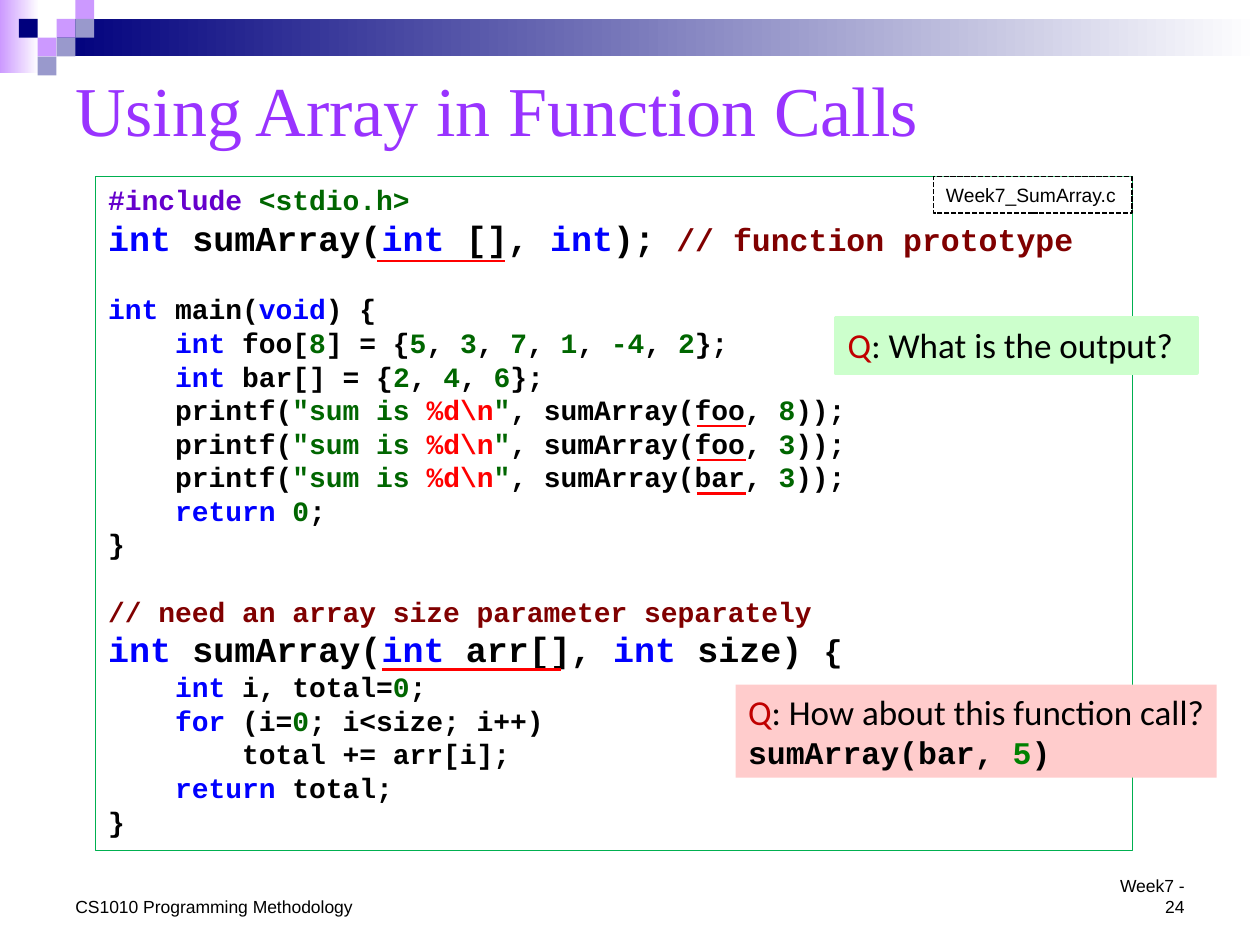
from dataclasses import dataclass
from functools import partial
from typing import Optional

from lxml import etree
from pptx import Presentation
from pptx import util as u
from pptx.dml.color import RGBColor
from pptx.enum import dml, shapes, text
from pptx.oxml.ns import qn


@dataclass(frozen=True)
class Theme:
    title: str = "9933FF"
    navy: str = "00007D"
    violet: str = "CC99FF"
    slate: str = "9999CC"
    white: str = "FFFFFF"
    black: str = "000000"
    border: str = "00B050"
    directive: str = "6600CC"
    keyword: str = "0000FF"
    literal: str = "006600"
    escape: str = "FF0000"
    comment: str = "800000"
    underline: str = "FF0000"
    question: str = "C00000"
    answer: str = "008000"
    green_note: str = "CCFFCC"
    pink_note: str = "FFCCCC"
    serif: str = "Times New Roman"
    sans: str = "Arial"
    note_font: str = "Calibri"
    mono: str = "Courier New"
    title_size: int = 40
    large: int = 20
    medium: int = 18
    code: int = 16
    label: int = 11
    footer: int = 10
    blank_line: float = 19.2


THEME = Theme()


@dataclass(frozen=True)
class Box:
    """Position and size in centimetres."""
    left: float
    top: float
    width: float
    height: float

    def lengths(self) -> list:
        return [u.Cm(v) for v in (self.left, self.top, self.width, self.height)]


@dataclass(frozen=True)
class Run:
    text: str
    color: str = THEME.black
    size: int = THEME.code
    font: str = THEME.mono
    bold: bool = True


@dataclass(frozen=True)
class Line:
    runs: list
    gap_before: float = 0
    align: text.PP_ALIGN = text.PP_ALIGN.LEFT


@dataclass(frozen=True)
class Underline:
    left: float
    right: float
    y: float


kw = partial(Run, color=THEME.keyword)
lit = partial(Run, color=THEME.literal)
esc = partial(Run, color=THEME.escape)
note = partial(Run, color=THEME.comment)
big = partial(Run, size=THEME.large)
big_kw = partial(kw, size=THEME.large)
small = partial(Run, size=THEME.footer, font=THEME.sans, bold=False)
calibri = partial(Run, size=THEME.large, font=THEME.note_font, bold=False)
INDENT = Run("    ")


def array_line(declaration: str, values: list, length: str = "") -> Line:
    runs = [INDENT, kw("int"), Run(f" {declaration}[")]
    if length:
        runs.append(lit(length))
    runs.append(Run("] = {"))
    for index, value in enumerate(values):
        if index:
            runs.append(Run(", "))
        runs.append(lit(value))
    return Line(runs + [Run("};")])


def print_line(array: str, count: str) -> Line:
    return Line([Run("    printf("), lit('"sum is '), esc("%d\\n"), lit('"'),
                 Run(f", sumArray({array}, "), lit(count), Run("));")])


def question_line(question: str) -> Line:
    return Line([calibri("Q", color=THEME.question), calibri(f": {question}")])


CODE = [
    Line([Run("#include ", THEME.directive), lit("<stdio.h>")]),
    Line([big_kw("int "), big("sumArray("), big_kw("int"), big(" [], "), big_kw("int"),
          big("); "), note("// function prototype", size=THEME.medium)]),
    Line([kw("int"), Run(" main("), kw("void"), Run(") {")], THEME.blank_line),
    array_line("foo", ["5", "3", "7", "1", "-4", "2"], "8"),
    array_line("bar", ["2", "4", "6"]),
    print_line("foo", "8"),
    print_line("foo", "3"),
    print_line("bar", "3"),
    Line([INDENT, kw("return "), lit("0"), Run(";")]),
    Line([Run("}")]),
    Line([note("// need an array size parameter separately")], THEME.blank_line),
    Line([big_kw("int "), big("sumArray("), big_kw("int "), big("arr[], "),
          big_kw("int"), big(" size) "), Run("{", size=THEME.medium)]),
    Line([INDENT, kw("int "), Run("i, total="), lit("0"), Run(";")]),
    Line([INDENT, kw("for"), Run(" (i="), lit("0"), Run("; i<size; i++)")]),
    Line([Run("        total += arr[i];")]),
    Line([INDENT, kw("return"), Run(" total;")]),
    Line([Run("}")]),
]

SQUARE = 0.38
SQUARES = [  # column, row, colour
    (3, 1, THEME.violet), (4, 0, THEME.violet), (4, 1, THEME.slate),
    (2, 2, THEME.violet), (1, 1, THEME.navy), (3, 2, THEME.slate), (2, 3, THEME.slate),
]

UNDERLINES = [Underline(7.6, 10.19, 5.26), Underline(7.7, 11.3, 13.49)]
UNDERLINES += [Underline(14.05, 15.04, 8.59 + 0.68 * row) for row in range(3)]


def rgb(color: str) -> RGBColor:
    return RGBColor.from_string(color)


def write(shape, lines: list, anchor=text.MSO_ANCHOR.TOP) -> None:
    frame = shape.text_frame
    frame.word_wrap = True
    frame.vertical_anchor = anchor
    for index, line in enumerate(lines):
        paragraph = frame.add_paragraph() if index else frame.paragraphs[0]
        paragraph.alignment = line.align
        if line.gap_before:
            paragraph.space_before = u.Pt(line.gap_before)
        for item in line.runs:
            run = paragraph.add_run()
            run.text = item.text
            run.font.name = item.font
            run.font.size = u.Pt(item.size)
            run.font.bold = item.bold
            run.font.color.rgb = rgb(item.color)


def add_rectangle(slide, box: Box, fill: str, fade_to: Optional[str] = None,
                  line: Optional[str] = None, weight: float = 0.75):
    shape = slide.shapes.add_shape(shapes.MSO_SHAPE.RECTANGLE, *box.lengths())
    shape.shadow.inherit = False
    if fade_to:
        shape.fill.gradient()
        shape.fill.gradient_angle = 0
        for stop, color, position in zip(shape.fill.gradient_stops, (fill, fade_to), (0, 1)):
            stop.color.rgb = rgb(color)
            stop.position = position
    else:
        shape.fill.solid()
        shape.fill.fore_color.rgb = rgb(fill)
    if line:
        shape.line.color.rgb = rgb(line)
        shape.line.width = u.Pt(weight)
    else:
        shape.line.fill.background()
    return shape


def add_text(slide, box: Box, line: Line, anchor=text.MSO_ANCHOR.BOTTOM) -> None:
    write(slide.shapes.add_textbox(*box.lengths()), [line], anchor)


def add_underline(slide, mark: Underline) -> None:
    connector = slide.shapes.add_connector(
        shapes.MSO_CONNECTOR.STRAIGHT, u.Cm(mark.left), u.Cm(mark.y),
        u.Cm(mark.right), u.Cm(mark.y))
    connector.line.color.rgb = rgb(THEME.underline)
    connector.line.width = u.Pt(1.5)
    etree.SubElement(connector._element.spPr, qn("a:effectLst"))


def main() -> None:
    presentation = Presentation()
    presentation.slide_width, presentation.slide_height = u.Cm(25.4), u.Cm(19.05)
    slide = presentation.slides.add_slide(presentation.slide_layouts[6])

    add_rectangle(slide, Box(0, 0, 0.79, 1.47), THEME.violet, THEME.white)
    add_rectangle(slide, Box(1.14, SQUARE, 24.26, 2 * SQUARE), THEME.navy, THEME.white)
    for column, row, color in SQUARES:
        add_rectangle(slide, Box(column * SQUARE, row * SQUARE, SQUARE, SQUARE), color)

    code = add_rectangle(slide, Box(1.93, 3.56, 20.9, 13.59), THEME.white, line=THEME.border)
    write(code, CODE)
    file_label = add_rectangle(slide, Box(18.82, 3.56, 4, 0.74), THEME.white,
                               line=THEME.black, weight=1)
    file_label.line.dash_style = dml.MSO_LINE.SQUARE_DOT
    write(file_label, [Line([small("Week7_SumArray.c", size=THEME.label)])],
          text.MSO_ANCHOR.MIDDLE)

    add_text(slide, Box(1.27, 17.93, 6.15, 0.69), Line([small("CS1010 Programming Methodology")]))
    for mark in UNDERLINES:
        add_underline(slide, mark)

    call_note = add_rectangle(slide, Box(14.83, 13.8, 9.7, 1.88), THEME.pink_note)
    write(call_note, [
        question_line("How about this function call?"),
        Line([Run("sumArray(bar, ", size=THEME.medium),
              Run("5", THEME.answer, THEME.medium), Run(")", size=THEME.medium)]),
    ])
    add_text(slide, Box(22, 17.93, 2.13, 0.69),
             Line([small("Week7 - 24")], align=text.PP_ALIGN.RIGHT))
    add_text(slide, Box(1.27, 1.07, 22.86, 2.24),
             Line([Run("Using Array in Function Calls", THEME.title, THEME.title_size,
                       THEME.serif, False)]), text.MSO_ANCHOR.MIDDLE)
    output_note = add_rectangle(slide, Box(16.84, 6.4, 7.29, 1.12), THEME.green_note,
                                line=THEME.green_note, weight=2)
    write(output_note, [question_line("What is the output?")])
    presentation.save("out.pptx")


if __name__ == "__main__":
    main()
